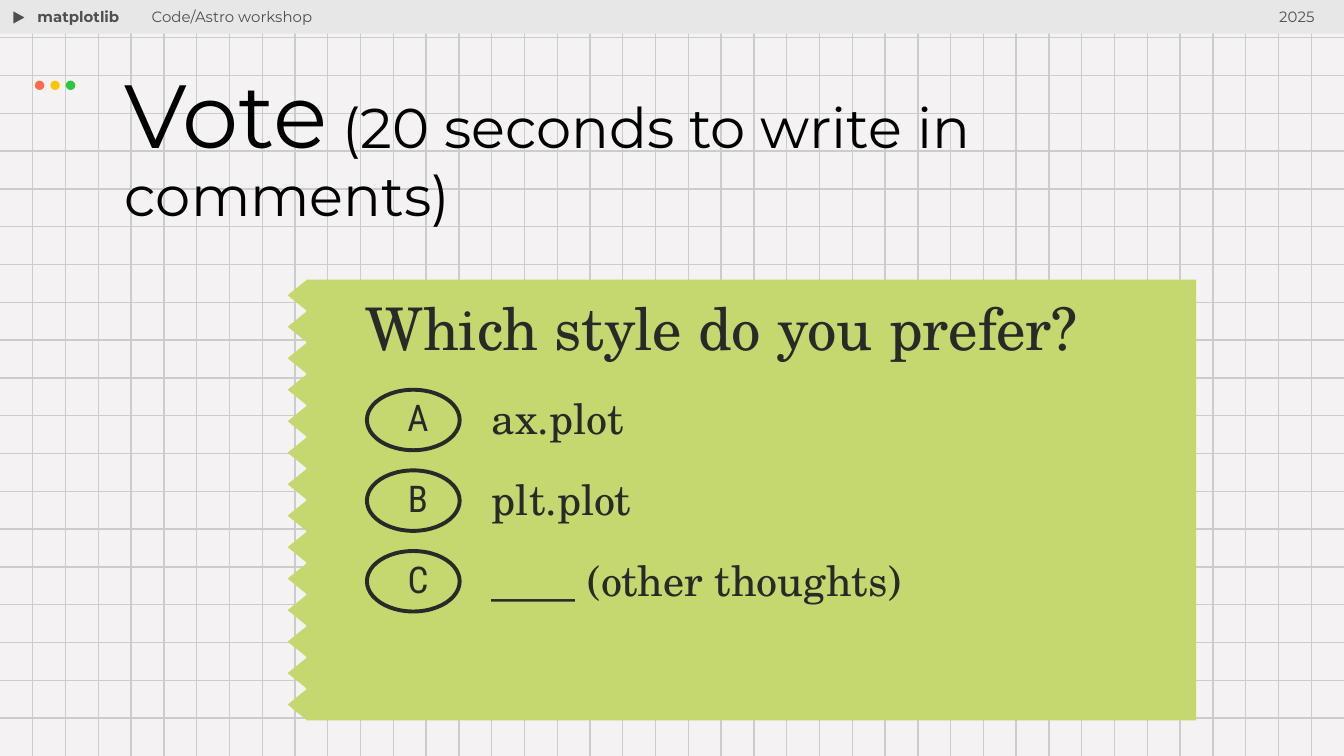
from dataclasses import dataclass

from lxml.etree import SubElement
from pptx import Presentation
from pptx.dml.color import RGBColor as Rgb
from pptx.enum.shapes import MSO_CONNECTOR as Conn, MSO_SHAPE as Geo
from pptx.enum.text import MSO_ANCHOR as Anchor, MSO_AUTO_SIZE as Fit, PP_ALIGN as Align
from pptx.oxml.ns import qn
from pptx.util import Inches, Pt


@dataclass(frozen=True)
class Theme:
    page: str = "F4F2F2"
    grid: str = "CCCCCC"
    bar: str = "E7E7E7"
    gray: str = "4F4F4F"
    black: str = "000000"
    ink: str = "282929"
    lime: str = "C5D86F"
    dots: tuple = ("FF6B4D", "FFC600", "28C840")
    sans: str = "Montserrat"
    serif: str = "TeX Gyre Schola"
    narrow: str = "Roboto Condensed"
    small: float = 8
    title: float = 48
    sub: float = 30
    ask: float = 31.5
    label: float = 22.5
    letter: float = 19.7


T = Theme()
WIDE = 10
HIGH = WIDE * 9 / 16
COLS, ROWS = 41, 20
CHOICES = [("A", "ax.plot"), ("B", "plt.plot"), ("C", "____ (other thoughts)")]


def box(*sides):
    return [Inches(side) for side in sides]


def add_shape(slide, geo, area, fill=None, line=None, width=0.75):
    shape = slide.shapes.add_shape(geo, *box(*area))
    shape.shadow.inherit = False
    if fill:
        shape.fill.solid()
        shape.fill.fore_color.rgb = Rgb.from_string(fill)
    else:
        shape.fill.background()
    if line:
        shape.line.color.rgb = Rgb.from_string(line)
        shape.line.width = Pt(width)
    else:
        shape.line.fill.background()
    return shape


def add_line(slide, *ends):
    line = slide.shapes.add_connector(Conn.STRAIGHT, *box(*ends))
    line.line.color.rgb = Rgb.from_string(T.grid)
    line.line.width = Pt(0.75)
    SubElement(line._element.spPr, qn("a:effectLst"))


def set_frame(shape, inset=(0.1, 0.1, 0.1, 0.1), anchor=Anchor.TOP,
              align=Align.LEFT, space=1.0):
    frame = shape.text_frame
    frame.auto_size = Fit.NONE
    frame.word_wrap = True
    frame.vertical_anchor = anchor
    (frame.margin_left, frame.margin_top,
     frame.margin_right, frame.margin_bottom) = box(*inset)
    para = frame.paragraphs[0]
    para.alignment = align
    para.line_spacing = space
    return para


def add_run(para, text, size, face, color, bold=False):
    run = para.add_run()
    run.text = text
    font = run.font
    font.size, font.name, font.bold = Pt(size), face, bold
    font.color.rgb = Rgb.from_string(color)


def add_text(slide, area, text, size, face, color, bold=False, **frame):
    shape = slide.shapes.add_textbox(*box(*area))
    add_run(set_frame(shape, **frame), text, size, face, color, bold)


def add_grid(slide):
    for row in range(1, ROWS):
        y = HIGH * row / ROWS
        add_line(slide, 0, y, WIDE, y)
    for col in range(1, COLS):
        x = WIDE * col / COLS
        add_line(slide, x, 0, x, HIGH)


def add_header(slide):
    add_shape(slide, Geo.RECTANGLE, (0, 0, WIDE, 0.25), T.bar)
    play = add_shape(slide, Geo.ISOSCELES_TRIANGLE, (0.09, 0.08, 0.11, 0.1), T.gray, T.bar)
    play.rotation = 90
    for i, color in enumerate(T.dots):
        add_shape(slide, Geo.OVAL, (0.26 + 0.115 * i, 0.6, 0.07, 0.07), color)
    style = (T.small, T.sans, T.gray)
    add_text(slide, (0.18, -0.04, 1.28, 0.34), "matplotlib", *style, bold=True)
    add_text(slide, (1.03, -0.04, 4.17, 0.47), "Code/Astro workshop", *style)
    add_text(slide, (8.21, -0.04, 1.67, 0.74), "2025", *style, align=Align.RIGHT)


def add_title(slide):
    title = slide.shapes.title
    title.left, title.top, title.width, title.height = box(0.83, 0.43, 8.92, 0.93)
    para = set_frame(title, space=0.9)
    add_run(para, "Vote", T.title, T.sans, T.black)
    add_run(para, " (20 seconds to write in comments)", T.sub, T.sans, T.black)
    tree = title.element.getparent()
    tree.append(title.element)


def add_card(slide):
    left, top, width, high, teeth = 2.28, 2.08, 6.62, 3.28, 14
    add_shape(slide, Geo.RECTANGLE, (left, top, width, high), T.lime)
    step = high / teeth
    for i in range(teeth):
        add_shape(slide, Geo.DIAMOND, (left - 0.14, top + step * i, 0.29, step), T.lime)
    add_text(slide, (2.58, top, 6.07, 0.7), "Which style do you prefer?",
             T.ask, T.serif, T.ink, inset=[0.14] * 4, anchor=Anchor.MIDDLE)


def add_choice(slide, y, letter, text):
    ring = add_shape(slide, Geo.OVAL, (2.73, y, 0.69, 0.45), line=T.ink, width=2.11)
    para = set_frame(ring, (0.07, 0, 0, 0), Anchor.MIDDLE, Align.CENTER, 0.9)
    add_run(para, letter, T.letter, T.narrow, T.ink)
    add_text(slide, (3.66, y - 0.01, 5.14, 0.49), text, T.label, T.serif, T.ink,
             inset=[0] * 4, anchor=Anchor.MIDDLE, space=0.9)


def main():
    deck = Presentation()
    deck.slide_width, deck.slide_height = box(WIDE, HIGH)
    slide = deck.slides.add_slide(deck.slide_layouts[5])
    slide.background.fill.solid()
    slide.background.fill.fore_color.rgb = Rgb.from_string(T.page)
    add_grid(slide)
    add_header(slide)
    add_title(slide)
    add_card(slide)
    for i, (letter, text) in enumerate(CHOICES):
        add_choice(slide, 2.9 + 0.6 * i, letter, text)
    deck.save("out.pptx")


if __name__ == "__main__":
    main()
